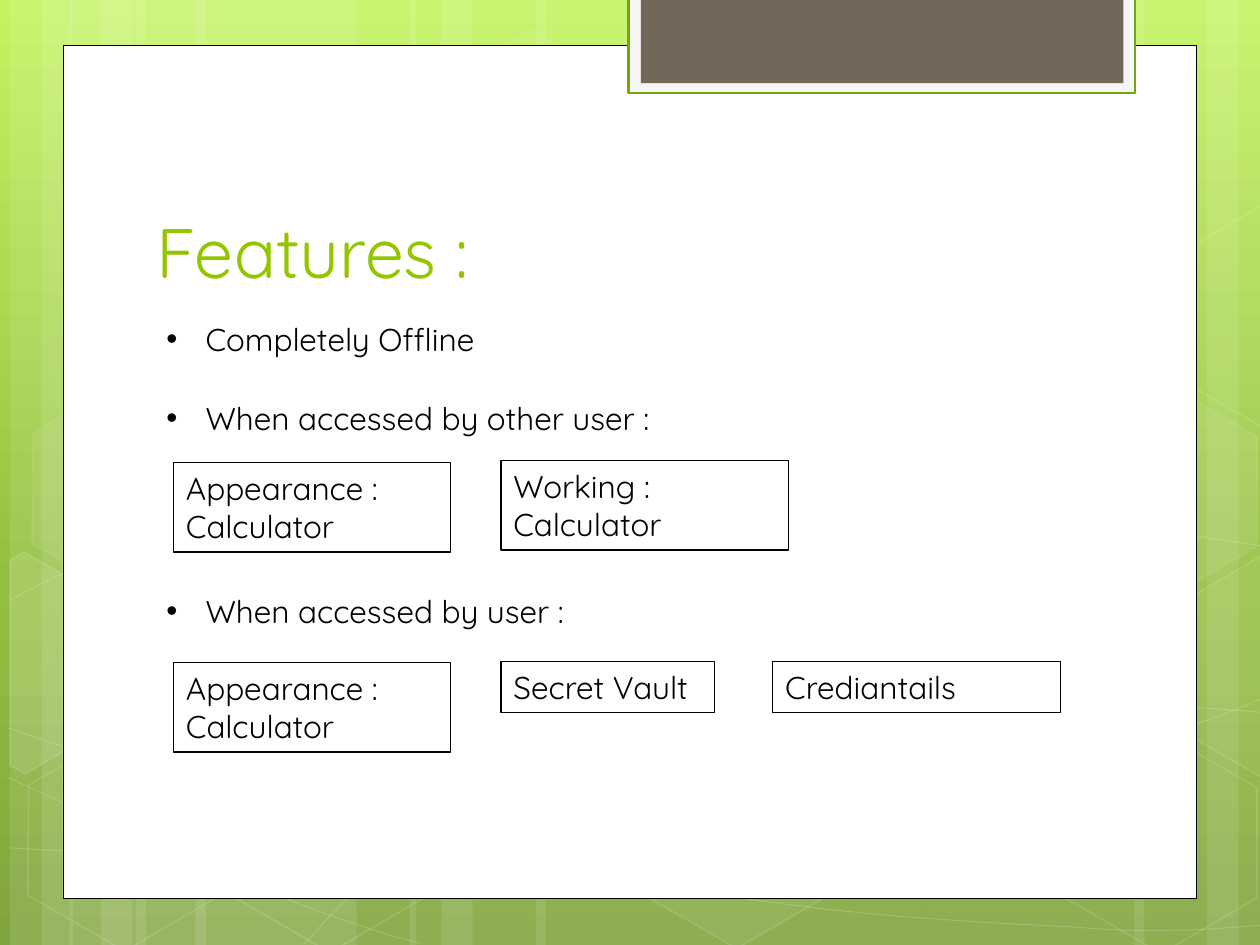
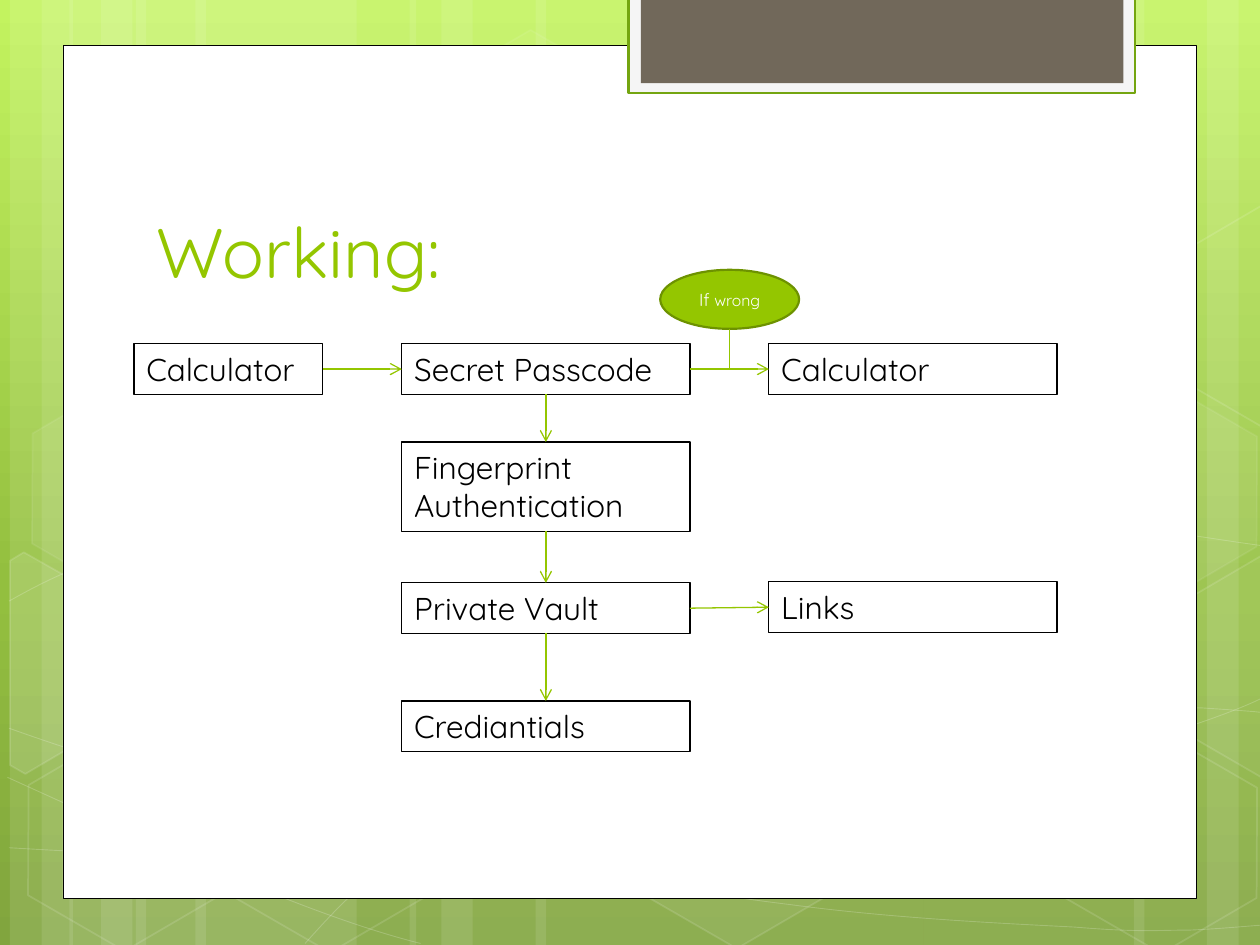
from math import cos, radians, sin

from pptx import Presentation
from pptx.dml.color import RGBColor
from pptx.enum.shapes import MSO_CONNECTOR, MSO_SHAPE
from pptx.enum.text import MSO_ANCHOR as Anchor, MSO_AUTO_SIZE as AutoSize, PP_ALIGN as Align
from pptx.oxml.ns import qn
from pptx.util import Cm, Pt
from lxml.etree import SubElement

COLORS = {
    "white": "FFFFFF",
    "black": "000000",
    "green": "94C600",
    "green_edge": "6D9200",
    "tab": "F5F5F5",
    "tab_edge": "74A510",
    "tab_core": "71685A",
}
BACKGROUND_STOPS = [(0, "C3F35F"), (62, "93BF3F"), (100, "81A53E")]
FONT = "Quicksand"
SLIDE_SIZE = (25.4, 19.05)
TITLE_BOX = (2.9, 2.84, 19.51, 3.18)
FEATURES_BOX = (3.1, 6.32, 18.3, 9.0)
FLOW_BOX = (2.7, 5.44, 18.6, 9.7)
ONE_LINE, TWO_LINES = 1.02, 1.8
TILT = 30

SWEEPS = [
    [(0.18, 17.09), (1.55, 17.17), (2.92, 17.25), (4.83, 17.22), (6.73, 17.2), (9.09, 17.15),
     (11.63, 16.89), (14.17, 16.64), (17.78, 16.15), (20.12, 15.67), (22.43, 15.19),
     (24.82, 14.43), (25.58, 14)],
    [(0.18, 12.12), (0.91, 11.71), (1.65, 11.33), (3.07, 10.95), (4.52, 10.57), (6.58, 10.01),
     (8.81, 9.83), (11.07, 9.65), (13.82, 9.63), (16.61, 9.83), (19.41, 10.03),
     (24.05, 10.82), (25.58, 11.02)],
    [(0.15, 15.67), (3.23, 17.07), (6.27, 18.47), (8.48, 19.02)],
    [(0.18, 14.68), (0.97, 14.96), (1.78, 15.24), (3.25, 15.65), (4.72, 16.03), (6.93, 16.66),
     (9.07, 17.09), (11.18, 17.53), (13.84, 17.98), (15.95, 18.24), (18.06, 18.52),
     (20.32, 18.62), (21.67, 18.69), (22.99, 18.8), (23.34, 18.75), (24, 18.75),
     (24.66, 18.72), (25.12, 18.67), (25.58, 18.64)],
    [(6.15, 19.02), (6.6, 18.52), (7.06, 18.01), (7.67, 17.55), (8.28, 17.09), (9.14, 16.59),
     (9.86, 16.23), (10.57, 15.88), (11, 15.72), (11.94, 15.47), (12.85, 15.21), (14.55, 14.86),
     (15.44, 14.68), (16.36, 14.5), (16.48, 14.5), (17.27, 14.45), (18.06, 14.38),
     (19.3, 14.3), (20.17, 14.27), (21.06, 14.25), (22.5, 14.27), (22.5, 14.27),
     (23.07, 14.27), (23.64, 14.27), (24.21, 14.27), (24.66, 14.3), (25.1, 14.33),
     (25.32, 14.35), (25.55, 14.38), (25.48, 14.35), (25.55, 14.38)],
]
HEXAGONS = [
    (8.48, 0.91, 4, 8), (12.62, 14.96, 6, 12), (0.28, 15.01, 0, 12),
    (0.36, 7.92, 7, 8), (4.42, 15.04, 0, 12), (19.13, 11.51, 10, 12),
    (21.18, 15.06, 0, 12), (21.18, 7.98, 7, 8),
]
CUT_HEXAGONS = [
    (10, (0.91, 13.59), [(0.2, 11.3), (0.48, 11.13), (2.44, 12.24), (2.41, 14.48),
                         (0.51, 15.6), (0.2, 15.42)]),
    (4, (25.02, 13.21), [(23.52, 12.32), (25.43, 11.2), (25.63, 11.33), (25.63, 15.57),
                         (25.45, 15.67), (23.52, 14.55)]),
    (0, (25.02, 6.12), [(23.52, 5.26), (25.43, 4.14), (25.65, 4.27), (25.63, 8.51),
                        (25.45, 8.61), (23.52, 7.49)]),
]


def rgb(name):
    return RGBColor.from_string(COLORS[name])


def lengths(*values):
    return [Cm(value) for value in values]


def set_alpha(shape, color_location, percent):
    for color in shape.element.xpath(color_location):
        SubElement(color, qn("a:alpha"), val=str(percent * 1000))


def paint(shape, fill=None, line=None, weight=0.75, fill_alpha=100, line_alpha=100):
    shape.shadow.inherit = False
    if fill and fill_alpha:
        shape.fill.solid()
        shape.fill.fore_color.rgb = rgb(fill)
    else:
        shape.fill.background()
    if line:
        shape.line.color.rgb = rgb(line)
        shape.line.width = Pt(weight)
    else:
        shape.line.fill.background()
    if fill_alpha < 100:
        set_alpha(shape, "p:spPr/a:solidFill/a:srgbClr", fill_alpha)
    if line_alpha < 100:
        set_alpha(shape, "p:spPr/a:ln/a:solidFill/a:srgbClr", line_alpha)


def add_run(paragraph, text, size, color):
    run = paragraph.add_run()
    run.text = text
    run.font.size = Pt(size)
    run.font.name = FONT
    run.font.color.rgb = rgb(color)


def add_rectangle(shapes, box, **style):
    shape = shapes.add_shape(MSO_SHAPE.RECTANGLE, *lengths(*box))
    paint(shape, **style)
    return shape


def add_outline(shapes, points, close):
    points = [lengths(*point) for point in points]
    builder = shapes.build_freeform(*points[0])
    builder.add_line_segments(points[1:], close=close)
    return builder.convert_to_shape()


def add_sweep(shapes, points):
    sweep = add_outline(shapes, points, False)
    outline = sweep.element.find(".//" + qn("a:path"))
    segments = outline.findall(qn("a:lnTo"))
    for index in range(0, len(segments), 3):
        curve = SubElement(outline, qn("a:cubicBezTo"))
        for segment in segments[index:index + 3]:
            curve.append(segment[0])
            outline.remove(segment)
    paint(sweep, line="white", weight=0.5, line_alpha=20)


def turn_back(point, center):
    x, y = point[0] - center[0], point[1] - center[1]
    cosine, sine = cos(radians(TILT)), sin(radians(TILT))
    return center[0] + x * cosine + y * sine, center[1] - x * sine + y * cosine


def add_stripes(shapes, height):
    stripes = []
    for base, wide in ((0.2, 4.45), (1.4, 4.45), (8.26, 7.82)):
        stripes += [(base + 2.54, wide), (base, 1.27), (base + 0.64, 2.11)]
    stripes += [(18.62, 4.45), (24.33, 1.27), (22.86, 2.11)]
    for left, width in stripes:
        add_rectangle(shapes, (left, 0, width, height), fill="white", fill_alpha=10)


def add_decoration(shapes, height):
    add_stripes(shapes, height)
    for points in SWEEPS:
        add_sweep(shapes, points)
    for x, y, fill_alpha, line_alpha in HEXAGONS:
        hexagon = shapes.add_shape(MSO_SHAPE.HEXAGON, *lengths(x, y, 4.45, 3.86))
        hexagon.adjustments[0] = 0.285
        hexagon.rotation = TILT
        paint(hexagon, "white", "white", 1, fill_alpha, line_alpha)
    for fill_alpha, center, corners in CUT_HEXAGONS:
        hexagon = add_outline(shapes, [turn_back(corner, center) for corner in corners], True)
        hexagon.rotation = TILT
        paint(hexagon, "white", "white", 1, fill_alpha, 12)


def add_panel(shapes, box):
    left, top, width, height = box
    return [
        add_rectangle(shapes, (left + 1.27, top + 0.91, width - 2.54, height - 1.85),
                      fill="white", line="black", weight=0.5),
        add_rectangle(shapes, (left + 12.67, top - 0.05, 10.21, 1.93),
                      fill="tab", line="tab_edge", weight=1.25),
        add_rectangle(shapes, (left + 12.92, top - 0.05, 9.73, 1.73), fill="tab_core"),
    ]


def build_master(master, slide):
    fill = master.background.fill
    fill.gradient()
    fill.gradient_angle = 270
    stop_list = master.element.find(".//" + qn("a:gsLst"))
    for stop in list(stop_list):
        stop_list.remove(stop)
    for position, color in BACKGROUND_STOPS:
        stop = SubElement(stop_list, qn("a:gs"), pos=str(position * 1000))
        SubElement(stop, qn("a:srgbClr"), val=color)

    decoration = slide.shapes.add_group_shape()
    add_decoration(decoration.shapes, SLIDE_SIZE[1])
    panel = add_panel(slide.shapes, (0, 0, *SLIDE_SIZE))
    for index, shape in enumerate([decoration, *panel], 2):
        master.shapes.element.insert(index, shape.element)
    for number, properties in enumerate(master.element.iter(qn("p:cNvPr")), 1):
        properties.set("id", str(number))


def place(shape, box):
    shape.left, shape.top, shape.width, shape.height = lengths(*box)


def add_title(slide, text):
    title = slide.shapes.title
    place(title, TITLE_BOX)
    frame = title.text_frame
    frame.auto_size = AutoSize.NONE
    frame.vertical_anchor = Anchor.BOTTOM
    paragraph = frame.paragraphs[0]
    paragraph.alignment = Align.LEFT
    add_run(paragraph, text, 40, "green")


def add_card(slide, box, *lines):
    card = add_rectangle(slide.shapes, box, line="black")
    frame = card.text_frame
    frame.word_wrap = True
    frame.auto_size = AutoSize.SHAPE_TO_FIT_TEXT
    frame.vertical_anchor = Anchor.TOP
    for index, line in enumerate(lines):
        paragraph = frame.add_paragraph() if index else frame.paragraphs[0]
        paragraph.alignment = Align.LEFT
        add_run(paragraph, line, 18, "black")
    return card


def add_bullets(body, box, items):
    place(body, box)
    frame = body.text_frame
    frame.auto_size = AutoSize.NONE
    for index, (text, space) in enumerate(items):
        paragraph = frame.add_paragraph() if index else frame.paragraphs[0]
        paragraph.space_before = Pt(space)
        add_run(paragraph, text, 18, "black")
    for properties in body.element.iter(qn("a:pPr")):
        properties.set("marL", str(Cm(0.79)))
        properties.set("indent", str(-Cm(0.79)))
        SubElement(properties, qn("a:buFont"), typeface="Arial")
        SubElement(properties, qn("a:buChar"), char="•")


def add_features(slide, box):
    left, top = box[:2]
    add_bullets(slide.placeholders[1], (left, top, 11.2, 6.6), [
        ("Completely Offline", 0),
        ("When accessed by other user :", 23.5),
        ("When accessed by user :", 88.8),
    ])
    first, second, third = left + 0.4, left + 7, left + 12.48
    for row in (top + 3.01, top + 7.04):
        add_card(slide, (first, row, 5.59, TWO_LINES), "Appearance :", "Calculator")
    add_card(slide, (second, top + 2.97, 5.8, TWO_LINES), "Working :", "Calculator")
    add_card(slide, (second, top + 7.02, 4.3, ONE_LINE), "Secret Vault")
    add_card(slide, (third, top + 7.02, 5.8, ONE_LINE), "Crediantails")


def add_line(slide, start=(0, 0), end=(0, 0)):
    connector = slide.shapes.add_connector(MSO_CONNECTOR.STRAIGHT, *lengths(*start, *end))
    connector.line.color.rgb = rgb("green")
    connector.line.width = Pt(0.75)
    SubElement(connector.element.spPr, qn("a:effectLst"))
    return connector


def add_arrow(slide, source, source_side, target, target_side):
    connector = add_line(slide)
    connector.begin_connect(source, source_side)
    connector.end_connect(target, target_side)
    SubElement(connector.element.find(".//" + qn("a:ln")), qn("a:tailEnd"), type="arrow")


def add_flow(slide, box):
    left, top = box[:2]
    middle, right, width = left + 5.4, left + 12.8, 5.81
    passcode_top, vault_top = top + 1.49, top + 6.31

    calculator = add_card(slide, (left, passcode_top, 3.81, ONE_LINE), "Calculator")
    passcode = add_card(slide, (middle, passcode_top, width, ONE_LINE), "Secret Passcode")
    fallback = add_card(slide, (right, passcode_top, width, ONE_LINE), "Calculator")
    fingerprint = add_card(slide, (middle, top + 3.47, width, TWO_LINES), "Fingerprint Authentication")
    vault = add_card(slide, (middle, vault_top, width, ONE_LINE), "Private Vault")
    links = add_card(slide, (right, vault_top - 0.02, width, ONE_LINE), "Links")
    credentials = add_card(slide, (middle, top + 8.69, width, ONE_LINE), "Crediantials")

    for source, target in ((calculator, passcode), (passcode, fallback), (vault, links)):
        add_arrow(slide, source, 3, target, 1)
    for source, target in ((passcode, fingerprint), (fingerprint, vault), (vault, credentials)):
        add_arrow(slide, source, 2, target, 0)

    condition = slide.shapes.add_shape(MSO_SHAPE.OVAL, *lengths(left + 10.61, top, 2.8, 1.19))
    paint(condition, "green", "green_edge", 1.25)
    frame = condition.text_frame
    frame.word_wrap = True
    frame.vertical_anchor = Anchor.MIDDLE
    paragraph = frame.paragraphs[0]
    paragraph.alignment = Align.CENTER
    add_run(paragraph, "If ", 10, "white")
    add_run(paragraph, "wrong", 9, "white")
    add_line(slide, (left + 12.01, top + 1.19), (left + 12.01, passcode_top + ONE_LINE / 2))


def main():
    presentation = Presentation()
    presentation.slide_width, presentation.slide_height = lengths(*SLIDE_SIZE)
    layouts = presentation.slide_layouts

    features = presentation.slides.add_slide(layouts[1])
    build_master(presentation.slide_master, features)
    add_title(features, "Features :")
    add_features(features, FEATURES_BOX)

    working = presentation.slides.add_slide(layouts[5])
    add_title(working, "Working:")
    add_flow(working, FLOW_BOX)

    presentation.save("out.pptx")


if __name__ == "__main__":
    main()
